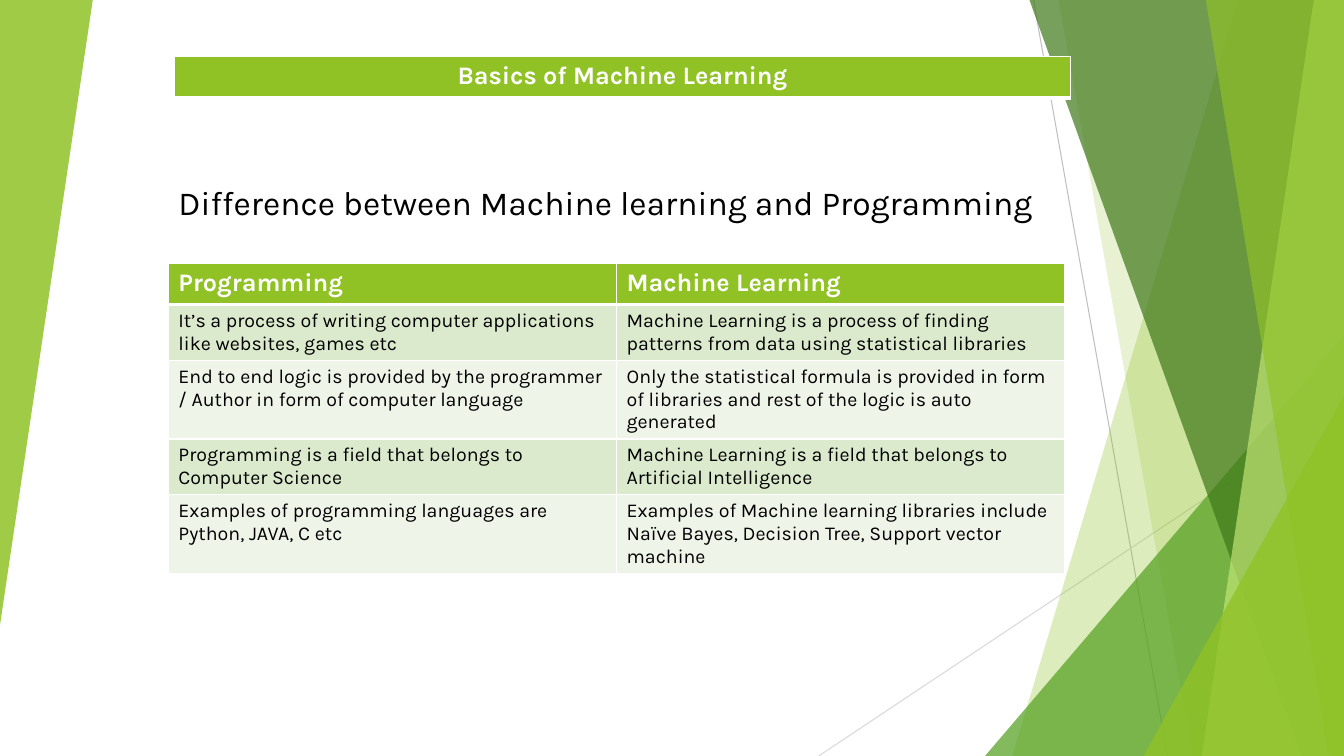
"""Build a slide that compares machine learning with programming."""
from pptx import Presentation
from pptx.dml.color import RGBColor
from pptx.enum.shapes import MSO_CONNECTOR, MSO_SHAPE
from pptx.enum.text import MSO_ANCHOR, PP_ALIGN
from pptx.oxml import parse_xml
from pptx.oxml.ns import nsdecls, qn
from pptx.util import Inches, Pt

TRI = MSO_SHAPE.ISOSCELES_TRIANGLE
LINE = MSO_CONNECTOR.STRAIGHT
LEFT, MID = PP_ALIGN.LEFT, PP_ALIGN.CENTER
TOP = MSO_ANCHOR.TOP
WIDE, HIGH = 13.33, 7.5
FONT = "Karla"
GREEN, WHITE, BLACK = "90C226", "FFFFFF", "000000"
BANDS = ["DBE9CD", "EEF4E8"]

TITLE = "Difference between Machine learning and Programming"
BANNER = [["Basics of Machine Learning"]]
ROWS = [
    ["Programming", "Machine Learning"],
    ["It’s a process of writing computer applications like websites, games etc",
     "Machine Learning is a process of finding patterns from data using statistical libraries"],
    ["End to end logic is provided by the programmer / Author in form of computer language",
     "Only the statistical formula is provided in form of libraries and rest of the logic is auto generated"],
    ["Programming is a field that belongs to Computer Science",
     "Machine Learning is a field that belongs to Artificial Intelligence"],
    ["Examples of programming languages are Python, JAVA, C etc",
     "Examples of Machine learning libraries include Naïve Bayes, Decision Tree, Support vector machine"],
]
RAYS = [
    ((10.25, 0), (11.58, HIGH), "BFBFBF"),
    ((WIDE, 4.03), (8.12, HIGH), "D9D9D9"),
]
# kind, position, colour, opacity in percent
SHARDS = [
    ("pane", (12.28, 10.04), GREEN, 30),
    ("pane", (10.5, 11.83), GREEN, 20),
    ("wedge", (9.77, 3.33, 3.56, 4.17, 0), "54A021", 72),
    ("pane", (10.21, 12.91), "3F7819", 70),
    ("pane", (13.03, 11.92), "C0E474", 70),
    ("pane", (11.96, 13.18), GREEN, 65),
    ("wedge", (11.34, 3.93, 1.99, 3.57, 0), GREEN, 80),
    ("wedge", (0, 0, 0.92, 6.2, 180), GREEN, 85),
]


def color(code):
    return RGBColor.from_string(code)


def write(frame, text, size=14, ink=BLACK, bold=False, align=LEFT):
    para = frame.paragraphs[0]
    para.alignment = align
    run = para.add_run()
    run.text = text
    font = run.font
    font.name, font.size, font.bold = FONT, Pt(size), bold
    font.color.rgb = color(ink)
    return para


def ray(slide, start, end, ink):
    line = slide.shapes.add_connector(LINE, *map(Inches, start + end))
    line.line.color.rgb = color(ink)
    line.line.width = Pt(0.75)
    line._element.spPr.append(parse_xml(f"<a:effectLst {nsdecls('a')}/>"))


def pane(slide, top, base):
    pen = slide.shapes.build_freeform(Inches(top), 0)
    spots = [(WIDE, 0), (WIDE, HIGH), (base, HIGH)]
    pen.add_line_segments([(Inches(x), Inches(y)) for x, y in spots])
    return pen.convert_to_shape()


def wedge(slide, x, y, wide, high, turn):
    shape = slide.shapes.add_shape(TRI, *map(Inches, (x, y, wide, high)))
    shape.adjustments[0] = 1
    shape.rotation = turn
    return shape


def tint(shape, ink, solid):
    shape.shadow.inherit = False
    shape.fill.solid()
    shape.fill.fore_color.rgb = color(ink)
    tone = shape._element.spPr.find(".//" + qn("a:srgbClr"))
    tone.append(parse_xml(f'<a:alpha {nsdecls("a")} val="{solid * 1000}"/>'))
    shape.line.fill.background()


def edge(cell, base):
    props = cell._tc.get_or_add_tcPr()
    for side, size in zip("LRTB", (1, 1, 1, base)):
        props.append(parse_xml(
            f'<a:ln{side} {nsdecls("a")} w="{Pt(size)}"><a:solidFill>'
            f'<a:srgbClr val="{WHITE}"/></a:solidFill></a:ln{side}>'))


def grid(slide, rows, x, y, align=LEFT):
    deep, span = len(rows), len(rows[0])
    table = slide.shapes.add_table(
        deep, span, Inches(x), Inches(y), Inches(8.89), Inches(0.41 * deep)).table
    table.horz_banding = False
    for i, row in enumerate(rows):
        head = i == 0
        for j, text in enumerate(row):
            cell = table.cell(i, j)
            edge(cell, 3 if head else 1)
            cell.fill.solid()
            cell.fill.fore_color.rgb = color(GREEN if head else BANDS[(i - 1) % 2])
            write(cell.text_frame, text, size=18 if head else 14,
                  ink=WHITE if head else BLACK, bold=head, align=align)


def main():
    deck = Presentation()
    deck.slide_width, deck.slide_height = Inches(WIDE), Inches(HIGH)
    slide = deck.slides.add_slide(deck.slide_layouts[5])
    for start, end, ink in RAYS:
        ray(slide, start, end, ink)
    makers = {"pane": pane, "wedge": wedge}
    for kind, place, ink, solid in SHARDS:
        tint(makers[kind](slide, *place), ink, solid)
    title = slide.shapes.title
    title.left, title.top, title.width, title.height = map(
        Inches, (1.67, 1.8, 10, 4.21))
    title.text_frame.vertical_anchor = TOP
    para = write(title.text_frame, TITLE, size=24)
    para.line_spacing, para.space_before = 0.9, Pt(10)
    grid(slide, BANNER, 1.73, 0.56, align=MID)
    grid(slide, ROWS, 1.67, 2.61)
    deck.save("out.pptx")


if __name__ == "__main__":
    main()
